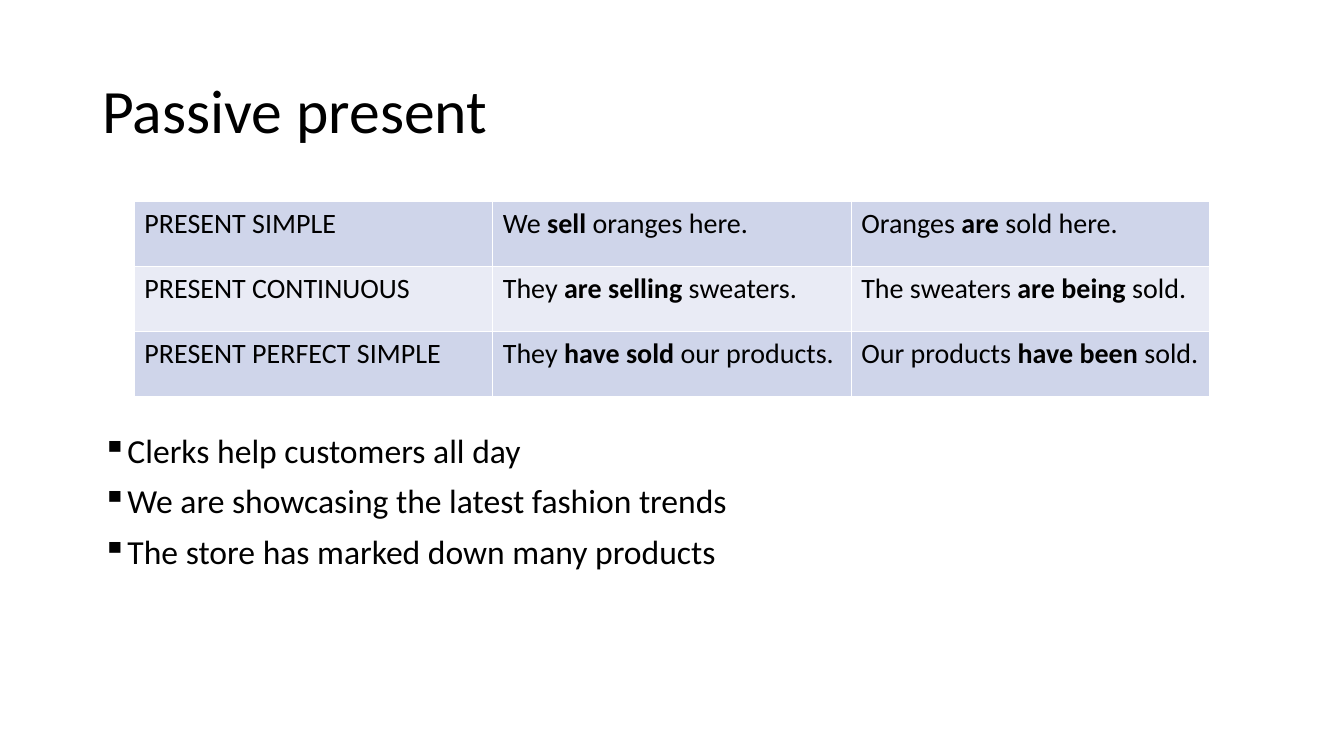
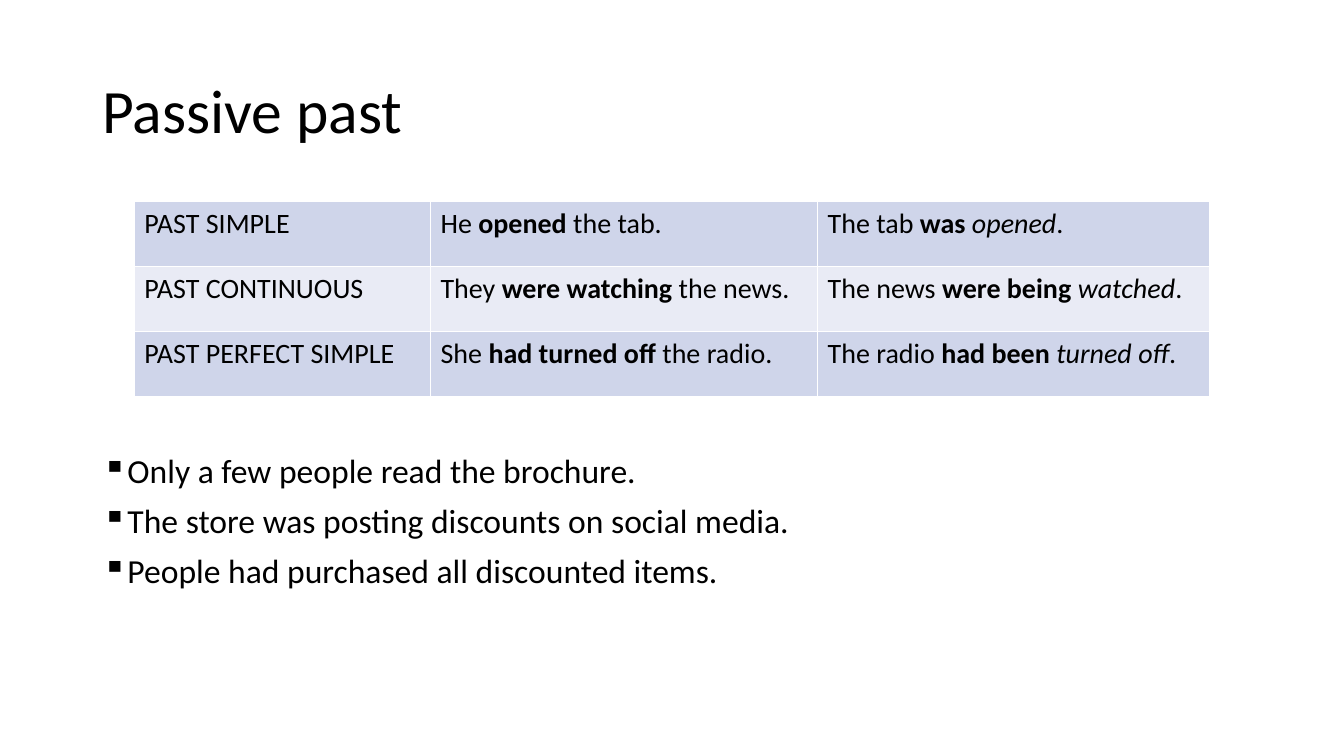
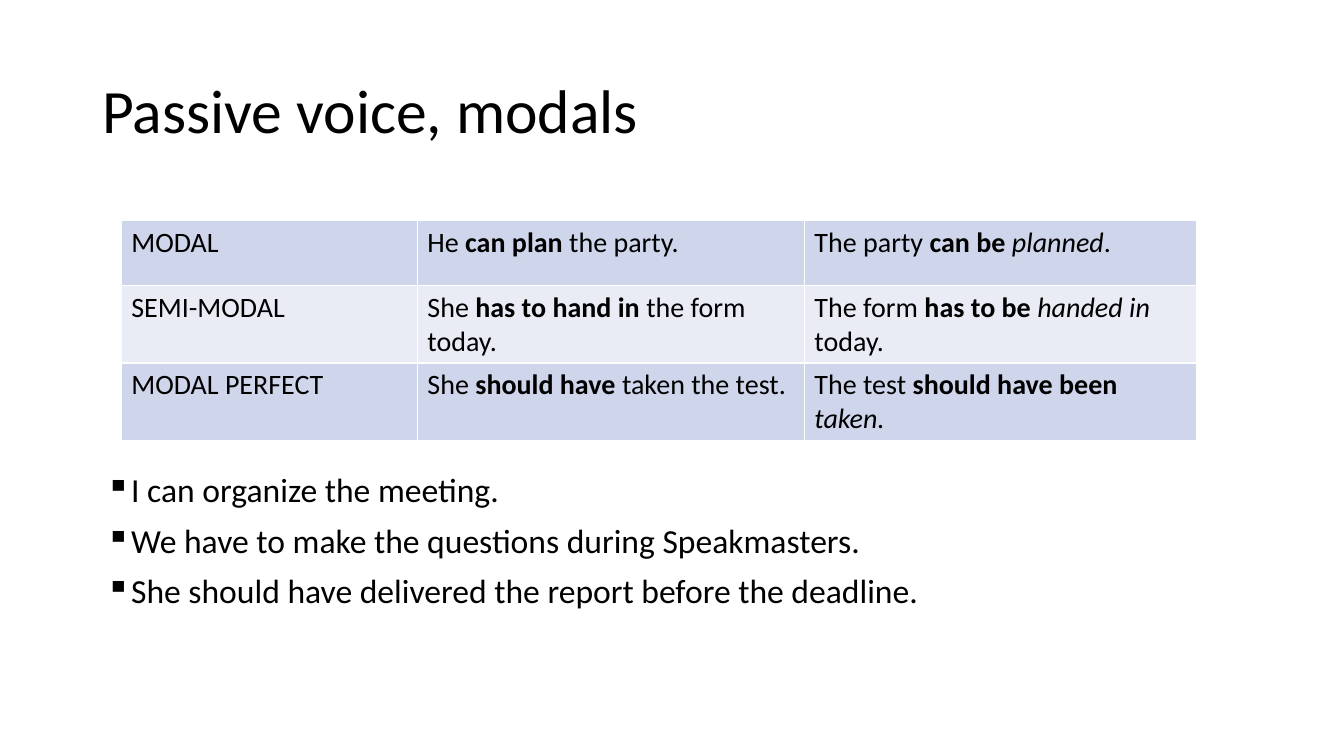
from lxml.etree import SubElement
from pptx import Presentation
from pptx.dml.color import RGBColor
from pptx.enum.text import MSO_ANCHOR, MSO_AUTO_SIZE, PP_ALIGN
from pptx.oxml.ns import qn
from pptx.util import Pt

COLORS = {"text": "000000", "border": "FFFFFF", "odd": "CFD5EA", "even": "E9EBF5"}
FONT = "Calibri"
LEFT, WIDTH = 66, 828
TITLE_TOP, TITLE_HEIGHT = 28.8, 104.4
BODY_BOTTOM = 487
ROW_HEIGHT = 46.4
EQUAL_COLUMNS = (256, 256, 256)
WIDE_EXAMPLES = (211.5, 276.5, 280)

LESSONS = [
    {
        "title": "Passive present",
        "table_at": (96, 144),
        "columns": EQUAL_COLUMNS,
        "rows": [
            ([("PRESENT SIMPLE", "")],
             [("We ", ""), ("sell", "b"), (" oranges here.", "")],
             [("Oranges ", ""), ("are", "b"), (" sold here.", "")]),
            ([("PRESENT CONTINUOUS", "")],
             [("They ", ""), ("are selling", "b"), (" sweaters.", "")],
             [("The sweaters ", ""), ("are being ", "b"), ("sold.", "")]),
            ([("PRESENT PERFECT SIMPLE", "")],
             [("They ", ""), ("have sold", "b"), (" our products.", "")],
             [("Our products ", ""), ("have been ", "b"), ("sold.", "")]),
        ],
        "body_at": (LEFT, 306.8),
        "bullets": [
            "Clerks help customers all day",
            "We are showcasing the latest fashion trends",
            "The store has marked down many products",
        ],
    },
    {
        "title": "Passive past",
        "table_at": (96, 144),
        "columns": WIDE_EXAMPLES,
        "rows": [
            ([("PAST SIMPLE", "")],
             [("He ", ""), ("opened", "b"), (" the tab.", "")],
             [("The tab ", ""), ("was ", "b"), ("opened", "i"), (".", "")]),
            ([("PAST CONTINUOUS", "")],
             [("They ", ""), ("were watching", "b"), (" the news.", "")],
             [("The news ", ""), ("were being ", "b"), ("watched", "i"), (".", "")]),
            ([("PAST PERFECT SIMPLE", "")],
             [("She ", ""), ("had turned off", "b"), (" the radio.", "")],
             [("The radio ", ""), ("had been ", "b"), ("turned off", "i"), (".", "")]),
        ],
        "body_at": (LEFT, 321),
        "bullets": [
            "Only a few people read the brochure.",
            "The store was posting discounts on social media.",
            "People had purchased all discounted items.",
        ],
    },
    {
        "title": "Passive voice, modals",
        "table_at": (86.6, 157.6),
        "columns": WIDE_EXAMPLES,
        "rows": [
            ([("MODAL", "")],
             [("He ", ""), ("can plan", "b"), (" the party.", "")],
             [("The party ", ""), ("can be ", "b"), ("planned", "i"), (".", "")]),
            ([("SEMI-MODAL", "")],
             [("She ", ""), ("has to hand in", "b"), (" the form today.", "")],
             [("The form ", ""), ("has to be ", "b"), ("handed in", "i"), (" today.", "")]),
            ([("MODAL PERFECT", "")],
             [("She ", ""), ("should have ", "b"), ("taken the test.", "")],
             [("The test ", ""), ("should have been ", "b"), ("taken.", "i")]),
        ],
        "body_at": (68.6, 334.8),
        "bullets": [
            "I can organize the meeting.",
            "We have to make the questions during Speakmasters.",
            "She should have delivered the report before the deadline.",
        ],
    },
]


def add_run(paragraph, text, size, style=""):
    run = paragraph.add_run()
    run.text = text
    run.font.name = FONT
    run.font.size = Pt(size)
    run.font.bold = style == "b"
    run.font.italic = style == "i"
    run.font.color.rgb = RGBColor.from_string(COLORS["text"])


def set_title(slide, text):
    title = slide.shapes.title
    title.left, title.top = Pt(LEFT), Pt(TITLE_TOP)
    title.width, title.height = Pt(WIDTH), Pt(TITLE_HEIGHT)
    frame = title.text_frame
    frame.auto_size = MSO_AUTO_SIZE.NONE
    frame.vertical_anchor = MSO_ANCHOR.MIDDLE
    paragraph = frame.paragraphs[0]
    paragraph.alignment = PP_ALIGN.LEFT
    paragraph.line_spacing = 0.9
    add_run(paragraph, text, 44)


def add_borders(cell):
    properties = cell._tc.get_or_add_tcPr()
    for side in ("a:lnL", "a:lnR", "a:lnT", "a:lnB"):
        line = SubElement(properties, qn(side), w=str(Pt(1)))
        fill = SubElement(line, qn("a:solidFill"))
        SubElement(fill, qn("a:srgbClr"), val=COLORS["border"])


def add_tense_table(slide, position, columns, rows):
    left, top = position
    table = slide.shapes.add_table(
        len(rows), len(columns), Pt(left), Pt(top),
        Pt(sum(columns)), Pt(ROW_HEIGHT * len(rows))).table
    table.first_row = False
    table.horz_banding = False
    for column, width in zip(table.columns, columns):
        column.width = Pt(width)
    for row_index, row in enumerate(rows):
        table.rows[row_index].height = Pt(ROW_HEIGHT)
        color = COLORS["even" if row_index % 2 else "odd"]
        for column_index, runs in enumerate(row):
            cell = table.cell(row_index, column_index)
            add_borders(cell)
            cell.fill.solid()
            cell.fill.fore_color.rgb = RGBColor.from_string(color)
            for text, style in runs:
                add_run(cell.text_frame.paragraphs[0], text, 20, style)


def add_bullets(slide, position, bullets):
    left, top = position
    box = slide.shapes.add_textbox(Pt(left), Pt(top), Pt(WIDTH), Pt(BODY_BOTTOM - top))
    frame = box.text_frame
    frame.word_wrap = True
    for index, text in enumerate(bullets):
        paragraph = frame.add_paragraph() if index else frame.paragraphs[0]
        paragraph.line_spacing = 0.9
        paragraph.space_before = Pt(10)
        properties = paragraph._p.get_or_add_pPr()
        properties.set("marL", str(Pt(18)))
        properties.set("indent", str(-Pt(18)))
        SubElement(properties, qn("a:buChar"), char="▪")
        add_run(paragraph, text, 24)


def main():
    presentation = Presentation()
    presentation.slide_width, presentation.slide_height = Pt(960), Pt(540)
    title_only = presentation.slide_layouts[5]
    for lesson in LESSONS:
        slide = presentation.slides.add_slide(title_only)
        set_title(slide, lesson["title"])
        add_bullets(slide, lesson["body_at"], lesson["bullets"])
        add_tense_table(slide, lesson["table_at"], lesson["columns"], lesson["rows"])
    presentation.save("out.pptx")


if __name__ == "__main__":
    main()
